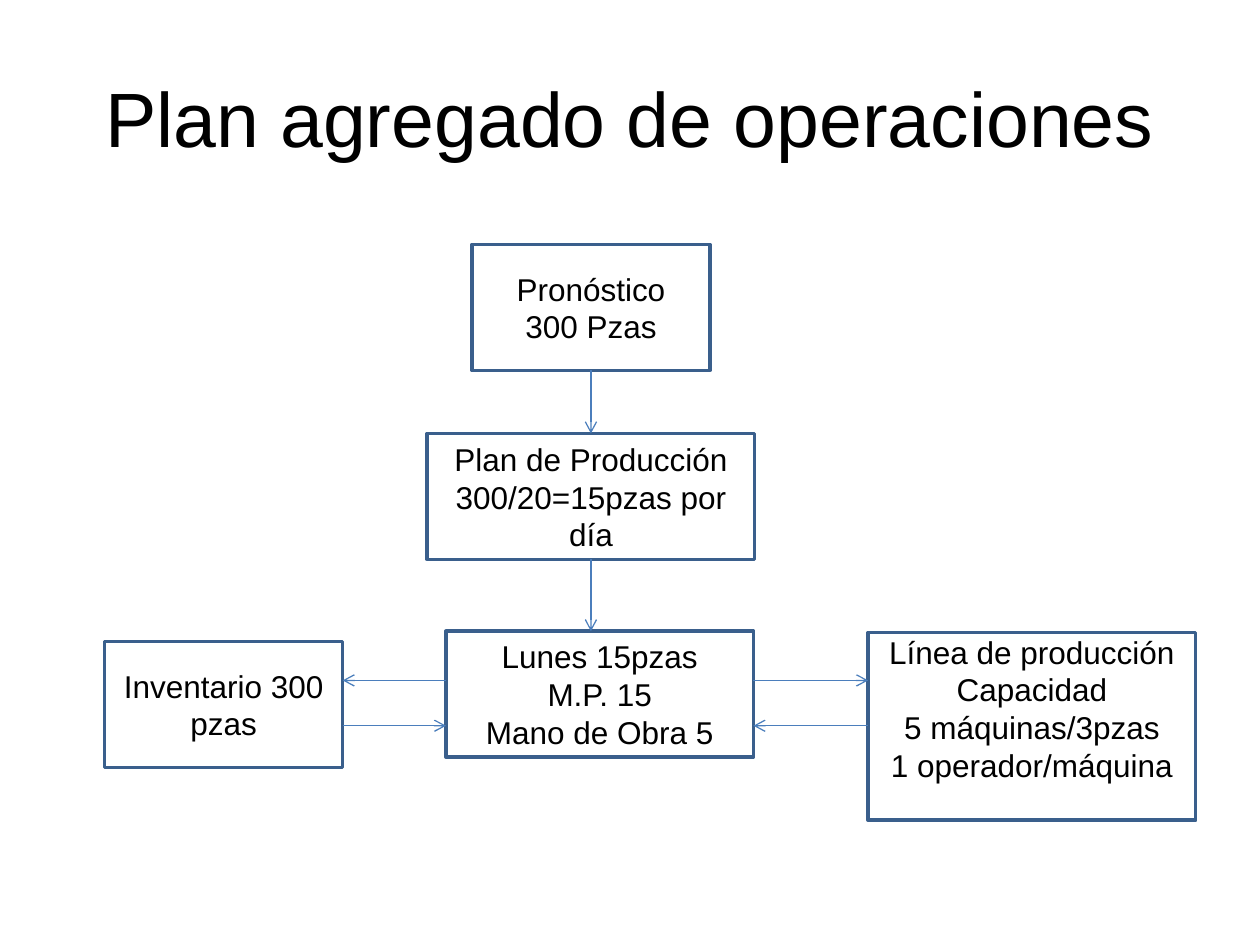
from lxml.etree import SubElement
from pptx import Presentation
from pptx.dml.color import RGBColor
from pptx.enum.shapes import MSO_CONNECTOR, MSO_SHAPE
from pptx.enum.text import MSO_ANCHOR, PP_ALIGN
from pptx.oxml.ns import qn
from pptx.util import Inches, Pt

COLORS = {"paper": "FFFFFF", "text": "000000", "border": "3A5F8C", "arrow": "4B7EBC"}
FONT = "Arial"
CELL = Inches(1)
COLUMNS, ROWS = 10, 7.5


def color(name):
    """Return the named palette colour."""
    return RGBColor.from_string(COLORS[name])


def grid(*cells):
    """Convert grid columns or rows to slide lengths."""
    return [round(cell * CELL) for cell in cells]


def format_text(text_frame, size):
    """Centre the text and set its font."""
    text_frame.word_wrap = True
    text_frame.vertical_anchor = MSO_ANCHOR.MIDDLE
    for paragraph in text_frame.paragraphs:
        paragraph.alignment = PP_ALIGN.CENTER
        for run in paragraph.runs:
            run.font.name = FONT
            run.font.size = Pt(size)
            run.font.color.rgb = color("text")


def add_title(slide, box, text):
    """Place the title placeholder in its box."""
    title = slide.shapes.title
    title.left, title.top, title.width, title.height = grid(*box)
    title.text_frame.text = text
    format_text(title.text_frame, 44)


def add_step(slide, box, text):
    """Draw one outlined step of the plan."""
    step = slide.shapes.add_shape(MSO_SHAPE.RECTANGLE, *grid(*box))
    step.shadow.inherit = False
    step.fill.solid()
    step.fill.fore_color.rgb = color("paper")
    step.line.color.rgb = color("border")
    step.line.width = Pt(2)
    step.text_frame.text = text
    format_text(step.text_frame, 18)
    return step


def add_arrow(slide, start, end):
    """Draw an arrow between two points."""
    arrow = slide.shapes.add_connector(MSO_CONNECTOR.STRAIGHT, *start, *end)
    arrow.line.color.rgb = color("arrow")
    arrow.line.width = Pt(0.75)
    SubElement(arrow.line._get_or_add_ln(), qn("a:tailEnd"), type="arrow")
    SubElement(arrow._element.spPr, qn("a:effectLst"))


def add_plan(slide, box):
    """Draw the steps of the plan and the arrows that join them."""
    left, top, width, height = box
    narrow, wide, row = 1.89, 2.6, 1
    axis = left + 3.86

    forecast = add_step(slide, (axis - narrow / 2, top, narrow, row),
                        "Pronóstico\n300 Pzas")
    production = add_step(slide, (axis - wide / 2, top + 1.5, wide, row),
                          "Plan de Producción\n300/20=15pzas por día")
    monday = add_step(slide, (left + 2.71, top + 3.07, 2.44, row),
                      "Lunes 15pzas\nM.P. 15\nMano de Obra 5")
    line = add_step(slide, (left + width - wide, top + 3.08, wide, height - 3.08),
                    "Línea de producción\nCapacidad\n5 máquinas/3pzas\n1 operador/máquina")
    line.text_frame.vertical_anchor = MSO_ANCHOR.TOP
    line.text_frame.margin_top = 0
    inventory = add_step(slide, (left, top + 3.15, narrow, row), "Inventario 300 pzas")

    center, upper, lower = grid(axis, top + 3.46, top + 3.82)
    for source, target in ((forecast, production), (production, monday)):
        add_arrow(slide, (center, source.top + source.height), (center, target.top))

    monday_right = monday.left + monday.width
    inventory_right = inventory.left + inventory.width
    for start, end, level in (
        (monday.left, inventory_right, upper),
        (inventory_right, monday.left, lower),
        (monday_right, line.left, upper),
        (line.left, monday_right, lower),
    ):
        add_arrow(slide, (start, level), (end, level))


def main():
    """Build and save the presentation."""
    presentation = Presentation()
    presentation.slide_width, presentation.slide_height = grid(COLUMNS, ROWS)
    slide = presentation.slides.add_slide(presentation.slide_layouts[5])
    slide.background.fill.solid()
    slide.background.fill.fore_color.rgb = color("paper")
    add_title(slide, (0.5, 0.3, 9, 1.25), "Plan agregado de operaciones")
    add_plan(slide, (0.83, 1.94, 8.66, 4.57))
    presentation.save("out.pptx")


if __name__ == "__main__":
    main()
